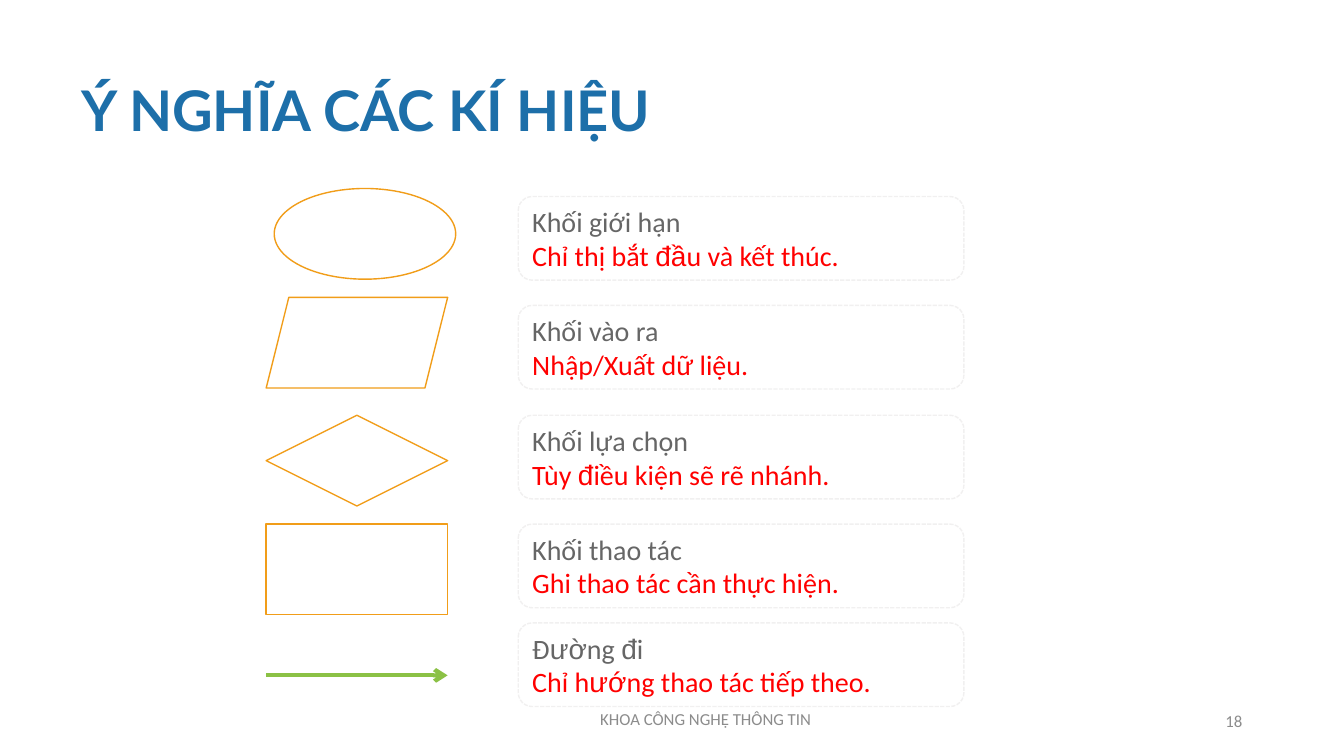
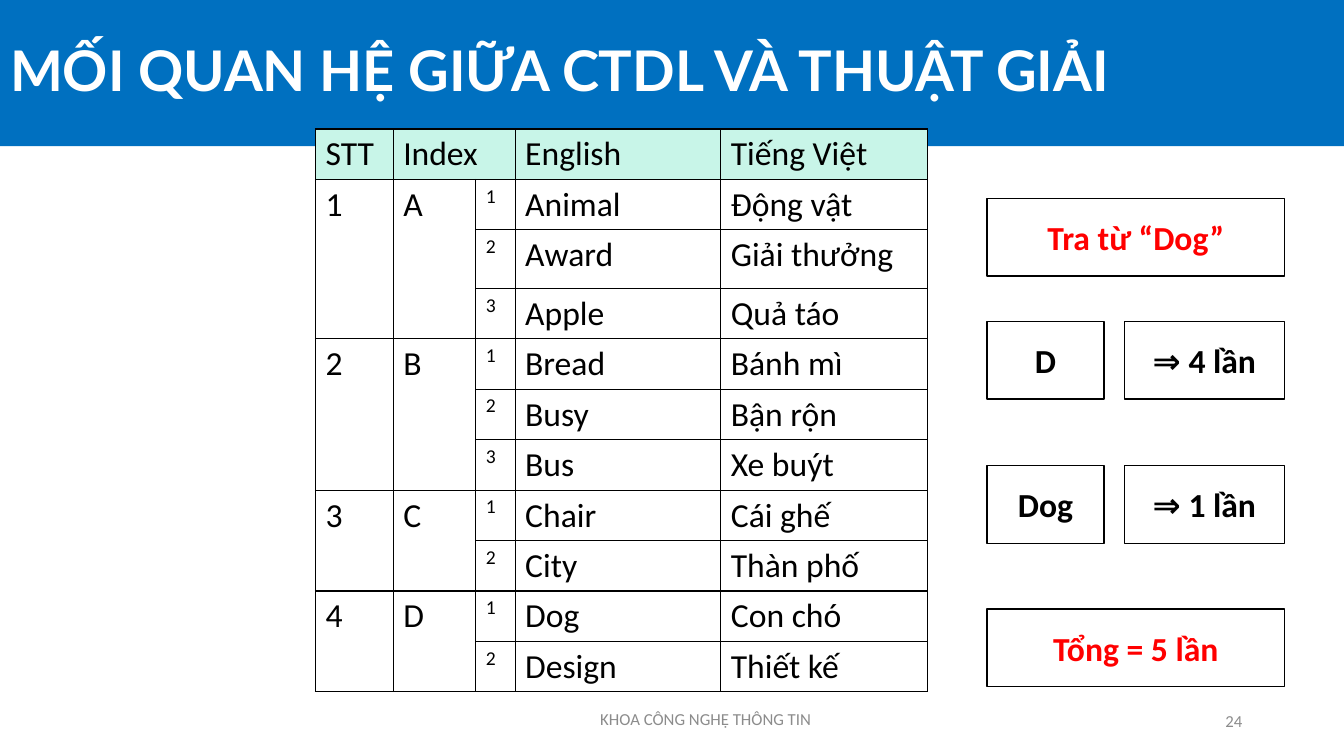
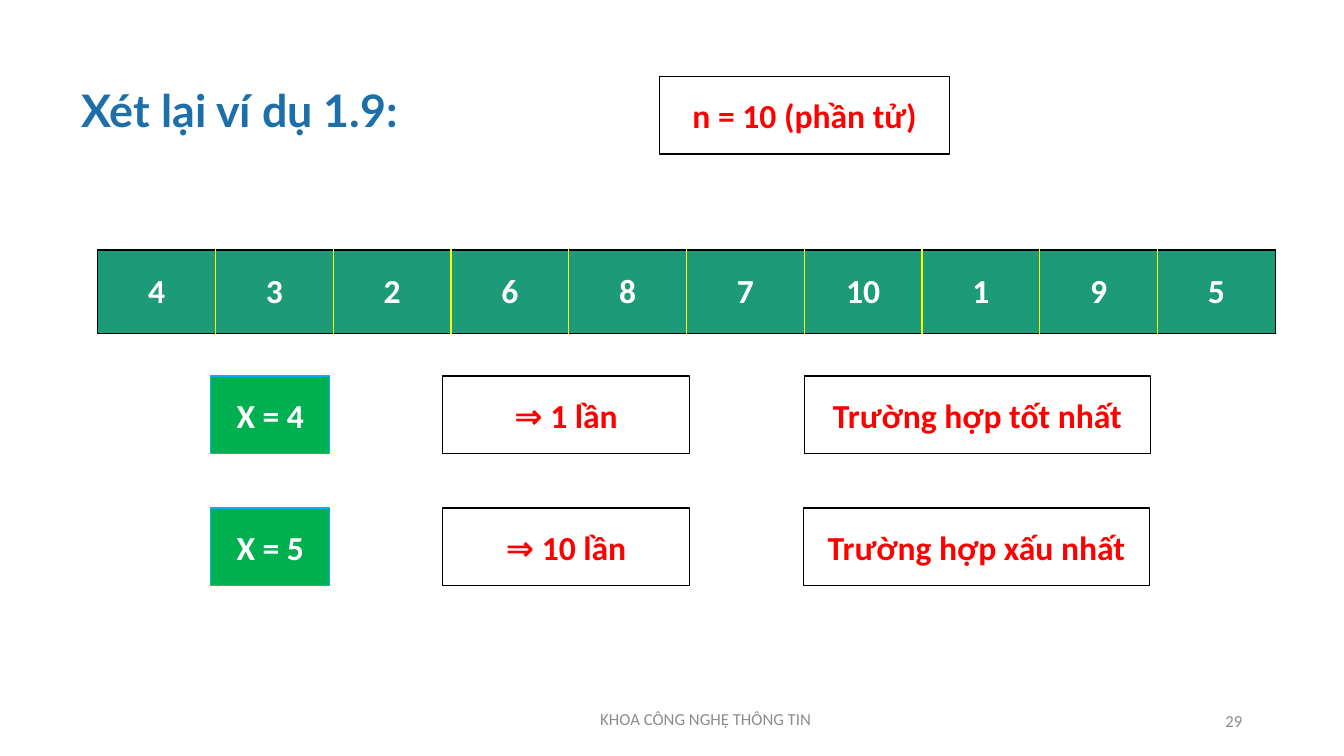
"""Build three lecture slides: flowchart symbols, a dictionary index, and a linear search."""
from lxml.etree import SubElement
from pptx import Presentation
from pptx.dml.color import RGBColor
from pptx.enum.dml import MSO_LINE
from pptx.enum.shapes import MSO_CONNECTOR, MSO_SHAPE
from pptx.enum.text import MSO_ANCHOR, MSO_AUTO_SIZE, PP_ALIGN
from pptx.oxml import parse_xml
from pptx.oxml.ns import nsdecls, qn
from pptx.util import Inches, Pt

FOOTER = "KHOA CÔNG NGHỆ THÔNG TIN"
BLUE, BAND, RED, GREY = "1D6FA9", "0070C0", "FF0000", "8C8C8C"
WHITE, BLACK, ORANGE, YELLOW = "FFFFFF", "000000", "F19D19", "FFFF00"
LEFT, CENTER, RIGHT = PP_ALIGN.LEFT, PP_ALIGN.CENTER, PP_ALIGN.RIGHT

# In symbol texts, every second part between bars is set in Arial.
SYMBOLS = [
    (MSO_SHAPE.OVAL, 2.72, 1.87, 1.95, "Khối giới hạn", "Chỉ thị bắt |đầ|u và kết thúc."),
    (MSO_SHAPE.PARALLELOGRAM, 2.64, 2.95, 3.03, "Khối vào ra", "Nhập/Xuất dữ liệu."),
    (MSO_SHAPE.DIAMOND, 2.64, 4.12, 4.12, "Khối lựa chọn", "Tùy |đ|iều kiện sẽ rẽ nhánh."),
    (MSO_SHAPE.RECTANGLE, 2.64, 5.2, 5.2, "Khối thao tác", "Ghi thao tác cần thực hiện."),
    (None, 2.64, 6.7, 6.18, "Đ|ườ|ng |đ|i", "Chỉ h|ướ|ng thao tác tiếp theo."),
]
HEADER = ["STT", "Index", "", "English", "Tiếng Việt"]
WORDS = {
    "A": [("Animal", "Động vật"), ("Award", "Giải thưởng"), ("Apple", "Quả táo")],
    "B": [("Bread", "Bánh mì"), ("Busy", "Bận rộn"), ("Bus", "Xe buýt")],
    "C": [("Chair", "Cái ghế"), ("City", "Thàn phố")],
    "D": [("Dog", "Con chó"), ("Design", "Thiết kế")],
}
WORD_COLS = [0.77, 0.82, 0.39, 2.04, 2.05]
LOOKUP = [
    (1.97, [("Tra từ “Dog”", RED)]),
    (3.19, [("D", BLACK), ("⇒ 4 lần", BLACK)]),
    (4.62, [("Dog", BLACK), ("⇒ 1 lần", BLACK)]),
    (6.04, [("Tổng = 5 lần", RED)]),
]
NUMBERS = [4, 3, 2, 6, 8, 7, 10, 1, 9, 5]
CASES = [
    (3.73, 7.98, "X = 4", "⇒ 1 lần", "Trường hợp tốt nhất"),
    (5.04, 7.97, "X = 5", "⇒ 10 lần", "Trường hợp xấu nhất"),
]

prs = Presentation()
prs.slide_width, prs.slide_height = Inches(13.33), Inches(7.5)


def rgb(value):
    return RGBColor.from_string(value)


def set_font(p, size, color, bold=False, name="Calibri", align=LEFT):
    p.alignment = align
    p.font.name, p.font.size, p.font.bold = name, Pt(size), bold
    p.font.color.rgb = rgb(color)


def add_label(s, at, text, align):
    tf = s.shapes.add_textbox(*map(Inches, at)).text_frame
    tf.word_wrap, tf.vertical_anchor = True, MSO_ANCHOR.MIDDLE
    tf.text = text
    set_font(tf.paragraphs[0], 12, GREY, align=align)


def add_slide(title, number, at, size=40, color=BLUE, fill=None):
    s = prs.slides.add_slide(prs.slide_layouts[5])
    sp = s.shapes.title
    sp.left, sp.top, sp.width, sp.height = map(Inches, at)
    if fill:
        sp.fill.solid()
        sp.fill.fore_color.rgb = rgb(fill)
    tf = sp.text_frame
    tf.text = title
    tf.auto_size, tf.vertical_anchor = MSO_AUTO_SIZE.NONE, MSO_ANCHOR.MIDDLE
    set_font(tf.paragraphs[0], size, color, True, "Lato")
    tf.paragraphs[0].line_spacing = 0.9
    add_label(s, (4.75, 6.93, 4.5, 0.4), FOOTER, CENTER)
    add_label(s, (9.42, 6.95, 3, 0.4), number, RIGHT)
    return s


def add_block(s, kind, at, fill=WHITE, line=BLACK):
    sp = s.shapes.add_shape(kind, *map(Inches, at))
    sp.shadow.inherit = False
    sp.fill.solid()
    sp.fill.fore_color.rgb = rgb(fill)
    sp.line.color.rgb, sp.line.width = rgb(line), Pt(1)
    sp.text_frame.word_wrap = True
    sp.text_frame.vertical_anchor = MSO_ANCHOR.MIDDLE
    return sp


def add_box(s, at, text, color=RED, fill=WHITE, line=BLACK):
    sp = add_block(s, MSO_SHAPE.RECTANGLE, at, fill, line)
    sp.text_frame.text = text
    set_font(sp.text_frame.paragraphs[0], 24, color, True, align=CENTER)


def add_meaning(s, top, lines):
    sp = add_block(s, MSO_SHAPE.ROUNDED_RECTANGLE, (5.14, top, 4.42, 0.83), line="F1F0F0")
    sp.line.dash_style = MSO_LINE.SQUARE_DOT
    tf = sp.text_frame
    for i, (text, color) in enumerate(zip(lines, ("666666", RED))):
        p = tf.add_paragraph() if i else tf.paragraphs[0]
        set_font(p, 20, color)
        for j, part in enumerate(text.split("|")):
            r = p.add_run()
            r.text = part
            r.font.name = "Arial" if j % 2 else "Calibri"


def add_arrow(s, left, top, width):
    line = s.shapes.add_connector(
        MSO_CONNECTOR.STRAIGHT, *map(Inches, (left, top, left + width, top)))
    line.line.color.rgb, line.line.width = rgb("8BC145"), Pt(3)
    SubElement(line.line._get_or_add_ln(), qn("a:tailEnd"), type="arrow")
    SubElement(line._element.spPr, qn("a:effectLst"))


def add_grid(s, left, top, cols, rows):
    at = map(Inches, (left, top, sum(cols), sum(rows)))
    table = s.shapes.add_table(len(rows), len(cols), *at).table
    table.first_row = table.horz_banding = False
    for col, width in zip(table.columns, cols):
        col.width = Inches(width)
    for row, height in zip(table.rows, rows):
        row.height = Inches(height)
    return table


def fill_cell(cell, text, size, color, fill=None, edges=(BLACK,) * 4, **font):
    cell.text = text
    set_font(cell.text_frame.paragraphs[0], size, color, **font)
    if fill:
        cell.fill.solid()
        cell.fill.fore_color.rgb = rgb(fill)
    else:
        cell.fill.background()
    for i, (side, edge) in enumerate(zip("LRTB", edges)):
        cell._tc.get_or_add_tcPr().insert(i, parse_xml(
            f'<a:ln{side} {nsdecls("a")} w="12700"><a:solidFill>'
            f'<a:srgbClr val="{edge}"/></a:solidFill></a:ln{side}>'))


s = add_slide("Ý NGHĨA CÁC KÍ HIỆU", "18", (0.71, 0.4, 12.52, 1.45))
for kind, left, top, box_top, *lines in SYMBOLS:
    if kind is None:
        add_arrow(s, left, top, 1.8)
    else:
        add_block(s, kind, (left, top, 1.8, 0.9), line=ORANGE)
    add_meaning(s, box_top, lines)

s = add_slide("MỐI QUAN HỆ GIỮA CTDL VÀ THUẬT GIẢI", "24", (0, 0, 13.33, 1.45),
              color=WHITE, fill=BAND)
rows, merges = [HEADER], [(0, 1, 0, 2)]
for n, (letter, words) in enumerate(WORDS.items(), 1):
    first, last = len(rows), len(rows) + len(words) - 1
    merges += [(first, col, last, col) for col in (0, 1)]
    for k, pair in enumerate(words, 1):
        rows.append([str(n) if k == 1 else "", letter if k == 1 else "", str(k), *pair])
heights = [0.58 if row[3] == "Award" else 0.5 for row in rows]
table = add_grid(s, 3.13, 1.28, WORD_COLS, heights)
for i, row in enumerate(rows):
    for j, text in enumerate(row):
        fill_cell(table.cell(i, j), text, 14 if i and j == 2 else 24, BLACK,
                  None if i else "C8F5E8")
for top, left, bottom, right in merges:
    table.cell(top, left).merge(table.cell(bottom, right))
for top, boxes in LOOKUP:
    spans = [(9.79, 2.95)] if len(boxes) == 1 else [(9.79, 1.16), (11.15, 1.59)]
    for (left, width), (text, color) in zip(spans, boxes):
        add_box(s, (left, top, width, 0.77), text, color)

s = add_slide("Xét lại ví dụ 1.9:", "29", (0.71, 0.4, 11.5, 1.45), size=32)
add_box(s, (6.54, 0.76, 2.88, 0.77), "n = 10 (phần tử)")
table = add_grid(s, 0.97, 2.48, [1.168] * len(NUMBERS), [0.83])
for j, number in enumerate(NUMBERS):
    cell = table.cell(0, j)
    edges = (YELLOW if j else BLACK, YELLOW if j < len(NUMBERS) - 1 else BLACK, BLACK, BLACK)
    fill_cell(cell, str(number), 24, WHITE, "1D9A78", edges, bold=True, align=CENTER)
    cell.vertical_anchor = MSO_ANCHOR.MIDDLE
for top, verdict_left, key, count, verdict in CASES:
    add_box(s, (2.09, top, 1.18, 0.77), key, WHITE, "00B050", "00B0F0")
    add_box(s, (4.39, top, 2.45, 0.77), count)
    add_box(s, (verdict_left, top, 3.43, 0.77), verdict)

prs.save("out.pptx")
